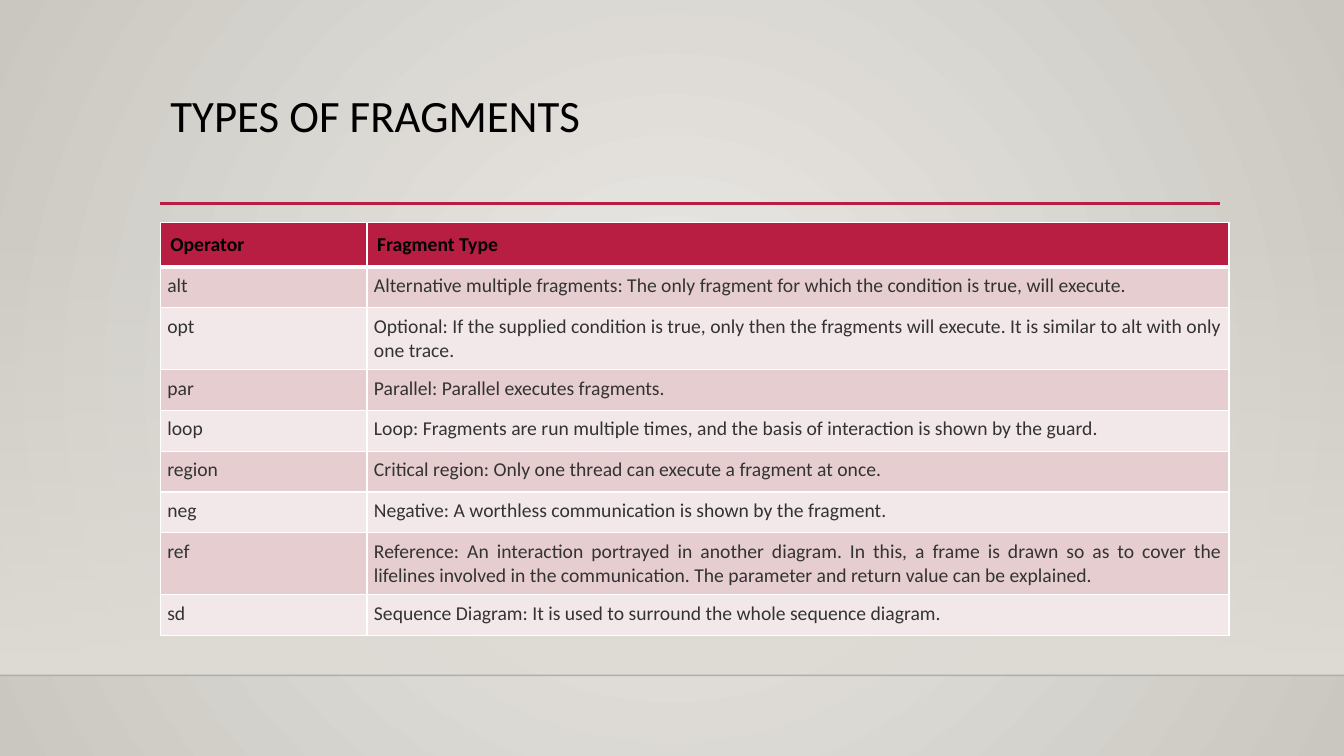
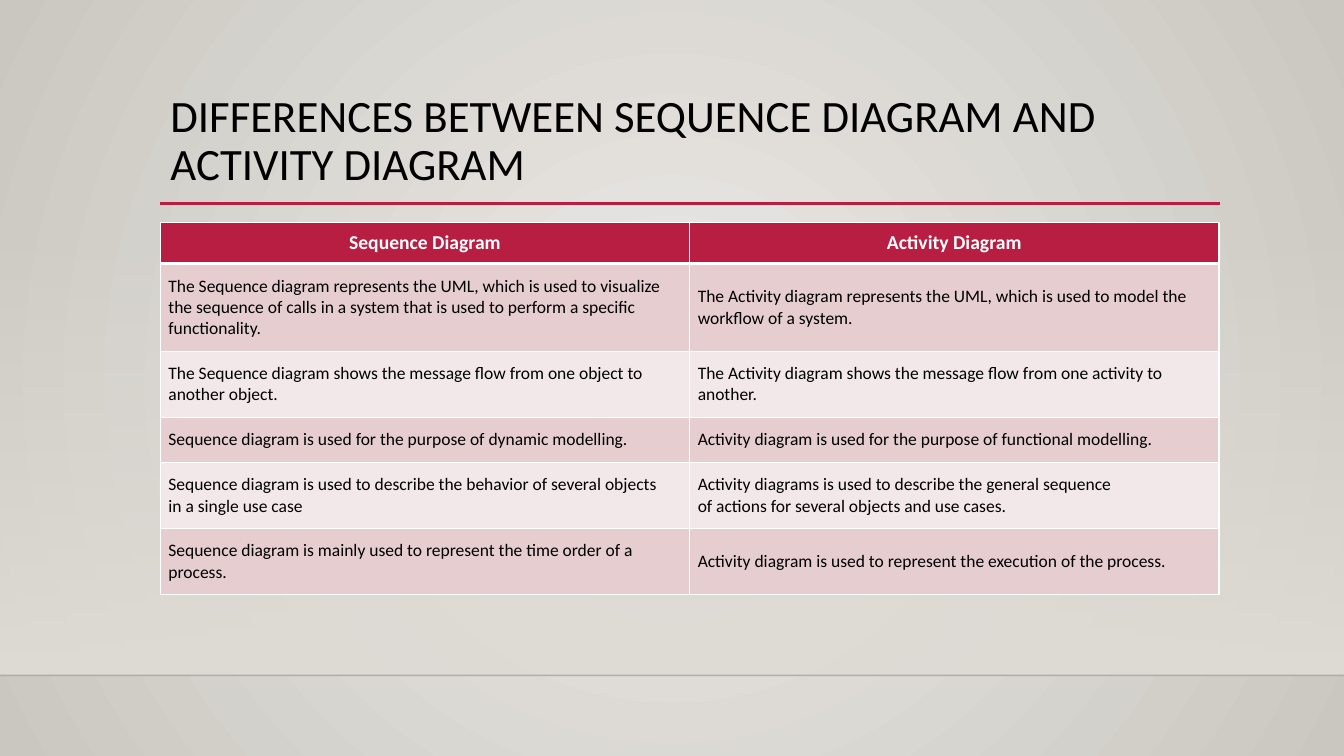
from lxml import etree
from pptx import Presentation
from pptx.dml.color import RGBColor
from pptx.enum.shapes import MSO_CONNECTOR, MSO_SHAPE
from pptx.enum.text import MSO_ANCHOR, MSO_AUTO_SIZE, PP_ALIGN
from pptx.oxml import parse_xml
from pptx.oxml.ns import qn
from pptx.util import Inches, Pt

RECT = MSO_SHAPE.RECTANGLE
LINE = MSO_CONNECTOR.STRAIGHT
TOP, MID = MSO_ANCHOR.TOP, MSO_ANCHOR.MIDDLE
LEFT, CENTER, JUST = PP_ALIGN.LEFT, PP_ALIGN.CENTER, PP_ALIGN.JUSTIFY
FIXED = MSO_AUTO_SIZE.NONE
NS = 'xmlns:a="http://schemas.openxmlformats.org/drawingml/2006/main"'
FONT = "Calibri"
RED, BLACK, WHITE, GREY = "B71E42", "000000", "FFFFFF", "333333"
BANDS = "F3E8E9", "E6CDCF"
THIN, THICK = Pt(1), Pt(3)


def rgb(code):
    return RGBColor.from_string(code)


def style(text, size, color, bold, align):
    for para in text.paragraphs:
        para.alignment = align
        for run in para.runs:
            font = run.font
            font.name, font.size, font.bold = FONT, Pt(size), bold
            font.color.rgb = rgb(color)


pages = [
    {
        "title": "TYPES OF FRAGMENTS",
        "cols": [2.05, 8.55],
        "head": (14, BLACK, True, LEFT),
        "body": (14, GREY, False, JUST),
        "pads": {"head": (7.2, 7.2), "body": (5, 5)},
        "anchor": TOP,
        "rows": [
            ("Operator", "Fragment Type"),
            ("alt", "Alternative multiple fragments: The only fragment for which the condition is true, will execute."),
            ("opt", "Optional: If the supplied condition is true, only then the fragments will execute. "
                    "It is similar to alt with only one trace."),
            ("par", "Parallel: Parallel executes fragments."),
            ("loop", "Loop: Fragments are run multiple times, and the basis of interaction is shown by the guard."),
            ("region", "Critical region: Only one thread can execute a fragment at once."),
            ("neg", "Negative: A worthless communication is shown by the fragment."),
            ("ref", "Reference: An interaction portrayed in another diagram. In this, a frame is drawn so as to "
                    "cover the lifelines involved in the communication. The parameter and return value can be explained."),
            ("sd", "Sequence Diagram: It is used to surround the whole sequence diagram."),
        ],
    },
    {
        "title": "DIFFERENCES BETWEEN SEQUENCE DIAGRAM AND ACTIVITY DIAGRAM",
        "cols": [5.25, 5.25],
        "head": (14, WHITE, True, CENTER),
        "body": (12.5, BLACK, False, LEFT),
        "pads": {"head": (5.8, 5.8), "body": (5.8, 8.4)},
        "anchor": MID,
        "rows": [
            ("Sequence Diagram", "Activity Diagram"),
            ("The Sequence diagram represents the UML, which is used to visualize the sequence of calls in a "
             "system that is used to perform a specific functionality.",
             "The Activity diagram represents the UML, which is used to model the workflow of a system."),
            ("The Sequence diagram shows the message flow from one object to another object.",
             "The Activity diagram shows the message flow from one activity to another."),
            ("Sequence diagram is used for the purpose of dynamic modelling.",
             "Activity diagram is used for the purpose of functional modelling."),
            ("Sequence diagram is used to describe the behavior of several objects\nin a single use case",
             "Activity diagrams is used to describe the general sequence\n"
             "of actions for several objects and use cases."),
            ("Sequence diagram is mainly used to represent the time order of a process.",
             "Activity diagram is used to represent the execution of the process."),
        ],
    },
]

deck = Presentation()
deck.slide_width, deck.slide_height = Inches(13.33), Inches(7.5)
wide = deck.slide_width
edge, rule, top, floor = Inches(1.59), Inches(2.02), Inches(2.21), Inches(6.7)
high = Pt(29.2)

master, layout = deck.slide_master, deck.slide_layouts[5]
for holder in list(layout.placeholders):
    if holder.placeholder_format.idx >= 10:
        holder.element.getparent().remove(holder.element)

back = master.background.fill
back.gradient()
for stop, code in zip(back.gradient_stops, ("ECEAE7", "CAC7C1")):
    stop.color.rgb = rgb(code)
linear = next(master.element.iter(qn("a:lin")))
linear.getparent().replace(linear, parse_xml(
    f'<a:path {NS} path="circle"><a:fillToRect l="50000" t="50000" r="50000" b="50000"/></a:path>'))

slides = [deck.slides.add_slide(layout) for page in pages]
shapes = slides[0].shapes

wall = shapes.add_shape(RECT, 0, top, wide, floor - top)
wall.shadow.inherit = False
wall.line.fill.background()
wall.fill.gradient()
wall.fill.gradient_angle = 270
for stop in wall.fill.gradient_stops:
    stop.color.rgb = rgb("DFDBD5")

lines = []
for start, end, y, code, width in (
    (0, wide, floor, "000001", 1),
    (edge, Inches(12.1), rule, RED, 2.5),
):
    line = shapes.add_connector(LINE, start, y, end, y)
    line.line.color.rgb, line.line.width = rgb(code), Pt(width)
    etree.SubElement(line.element.spPr, qn("a:effectLst"))
    lines.append(line)

for part, alpha in ((wall, 0), (lines[0], 20000)):
    color = next(part.element.iter(qn("a:srgbClr")))
    etree.SubElement(color, qn("a:alpha")).set("val", str(alpha))
for part in (wall, *lines):
    layout.shapes.element.append(part.element)

for slide, page in zip(slides, pages):
    title = slide.shapes.title
    title.left, title.top = edge, Inches(0.88)
    title.width, title.height = Inches(10.5), Inches(1.15)
    text = title.text_frame
    text.text = page["title"]
    text.word_wrap, text.auto_size, text.vertical_anchor = True, FIXED, TOP
    text.paragraphs[0].line_spacing = 0.9
    style(text, 32, BLACK, False, LEFT)

    rows, cols = page["rows"], page["cols"]
    frame = slide.shapes.add_table(
        len(rows), len(cols), edge, top, Inches(sum(cols)), high * len(rows))
    table = frame.table
    table.horz_banding = False
    for col, width in zip(table.columns, cols):
        col.width = Inches(width)

    for r, row in enumerate(rows):
        table.rows[r].height = high
        kind = "body" if r else "head"
        shade = BANDS[r % 2] if r else RED
        side, rise = page["pads"][kind]
        for c, words in enumerate(row):
            cell = table.cell(r, c)
            cell.text_frame.text = words
            style(cell.text_frame, *page[kind])
            cell.margin_left = cell.margin_right = Pt(side)
            cell.margin_top = cell.margin_bottom = Pt(rise)
            cell.vertical_anchor = page["anchor"]
            cell.fill.solid()
            cell.fill.fore_color.rgb = rgb(shade)

    for n, props in enumerate(frame.element.iter(qn("a:tcPr"))):
        r = n // len(cols)
        above = THICK if r == 1 else THIN
        below = THICK if r == 0 else THIN
        borders = ("lnL", THIN), ("lnR", THIN), ("lnT", above), ("lnB", below)
        for place, (name, width) in enumerate(borders):
            props.insert(place, parse_xml(
                f'<a:{name} {NS} w="{width}"><a:solidFill><a:srgbClr val="{WHITE}"/>'
                f'</a:solidFill></a:{name}>'))

deck.save("out.pptx")
